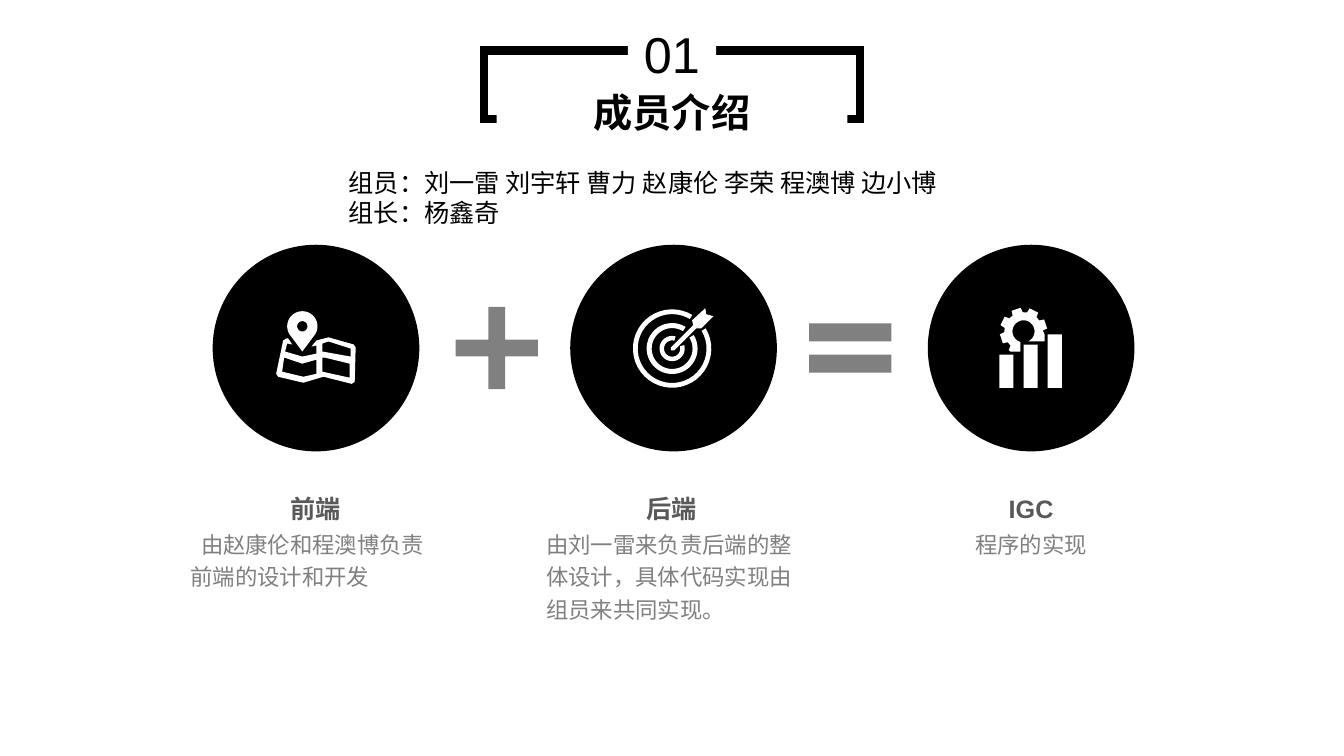
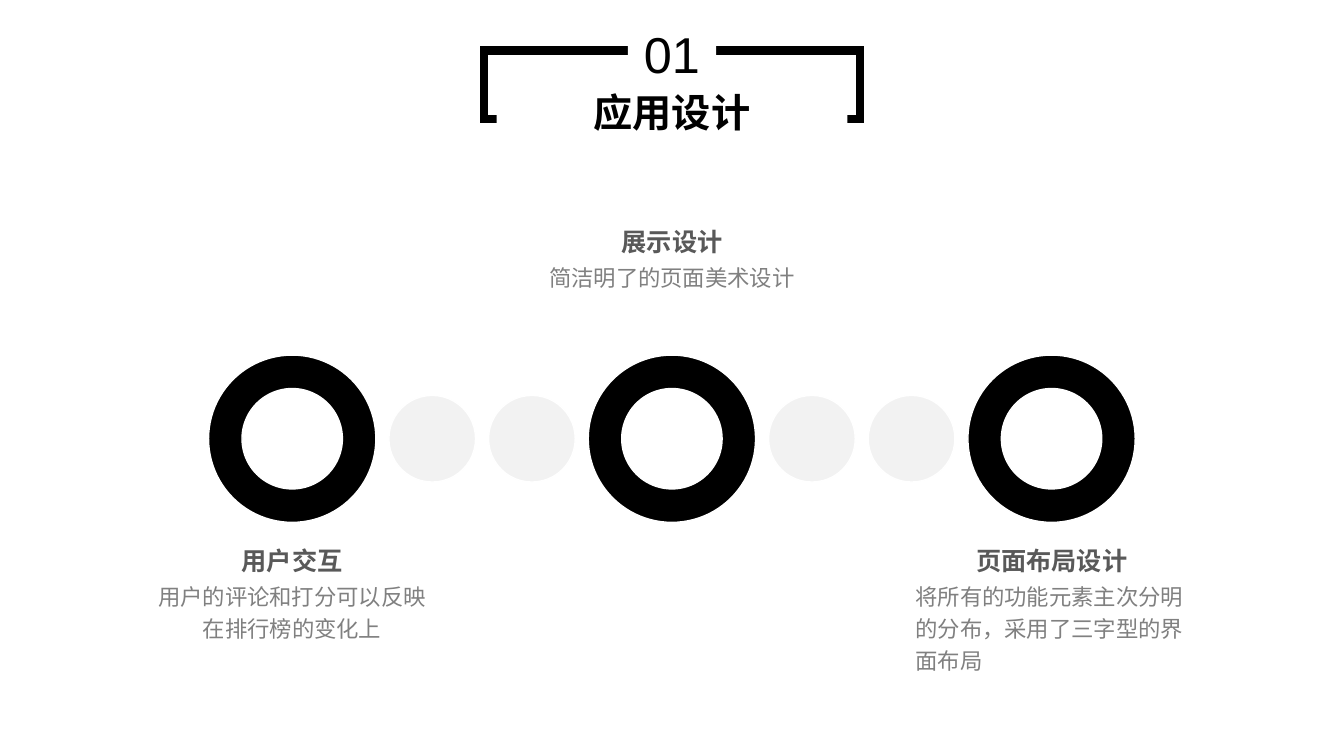
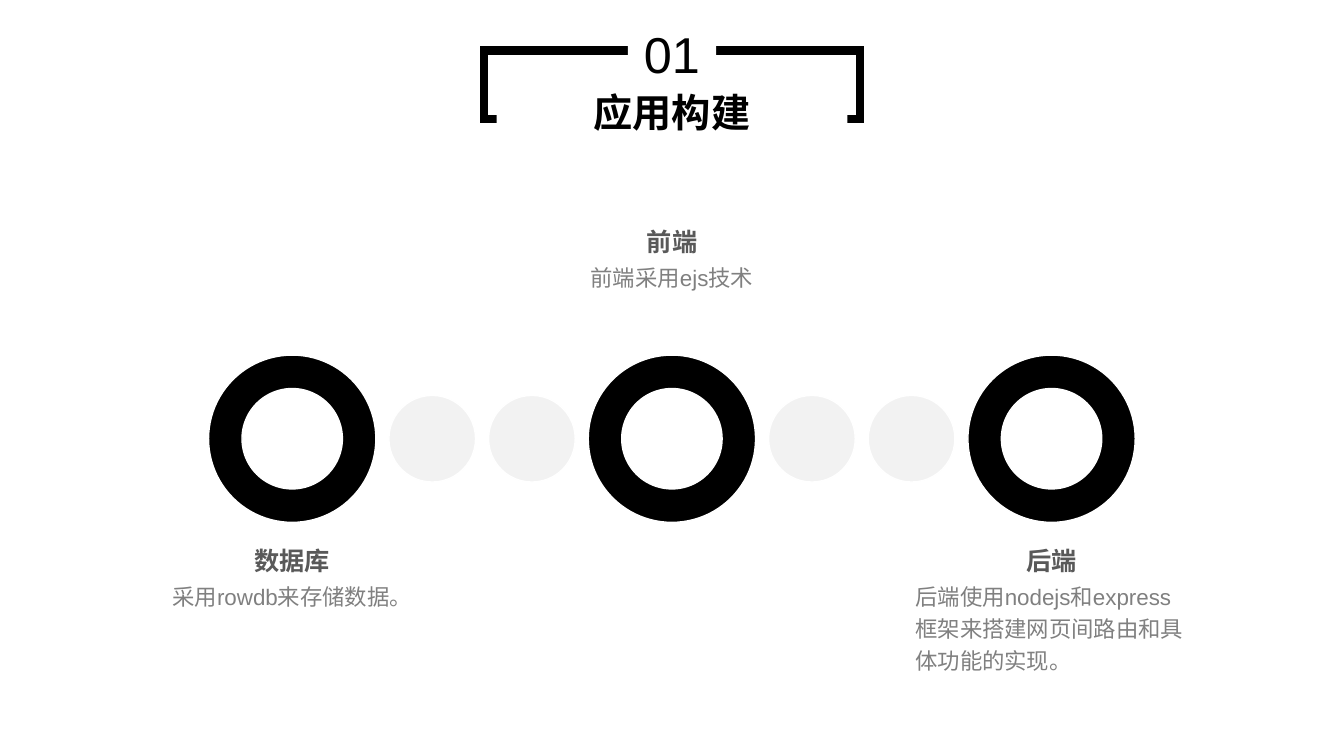
"""Build three slides on a team, its app design and its app build."""
import math
from dataclasses import dataclass

from pptx import Presentation
from pptx.dml.color import RGBColor
from pptx.enum.shapes import MSO_SHAPE
from pptx.enum.text import MSO_AUTO_SIZE, PP_ALIGN
from pptx.oxml.xmlchemy import OxmlElement
from pptx.shapes.base import BaseShape
from pptx.slide import Slide
from pptx.util import Pt

RECT = MSO_SHAPE.RECTANGLE
DISC = MSO_SHAPE.OVAL
RING = MSO_SHAPE.DONUT
PLUS = MSO_SHAPE.MATH_PLUS
EQUAL = MSO_SHAPE.MATH_EQUAL
LEFT = PP_ALIGN.LEFT
MID = PP_ALIGN.CENTER
FIT = MSO_AUTO_SIZE.SHAPE_TO_FIT_TEXT

Point = tuple[float, float]
Line = list[Point]


@dataclass(frozen=True)
class Theme:
    font: str = "Arial"
    black: str = "000000"
    white: str = "FFFFFF"
    dark: str = "595959"
    gray: str = "808080"
    pale: str = "F2F2F2"
    number: float = 36
    title: float = 28
    head: float = 18
    body: float = 16


@dataclass(frozen=True)
class Box:
    x: float
    y: float
    w: float
    h: float


@dataclass(frozen=True)
class Style:
    size: float
    color: str
    bold: bool = False
    align: int = MID
    space: float | None = None
    indent: float = 0
    wrap: bool = True
    fill: str | None = None


@dataclass(frozen=True)
class Label:
    mid: float
    top: float
    head: str
    body: str
    lines: int = 1
    align: int = MID
    indent: float = 0


THEME = Theme()


def tint(text: str) -> RGBColor:
    return RGBColor.from_string(text)


def place(box: Box) -> tuple[int, int, int, int]:
    return Pt(box.x), Pt(box.y), Pt(box.w), Pt(box.h)


def paint(shape: BaseShape, fill: str | None, line: str | None = None, width: float = 1) -> None:
    shape.shadow.inherit = False
    if fill:
        shape.fill.solid()
        shape.fill.fore_color.rgb = tint(fill)
    else:
        shape.fill.background()
    if line:
        shape.line.color.rgb = tint(line)
        shape.line.width = Pt(width)
    else:
        shape.line.fill.background()


def draw(slide: Slide, kind: int, box: Box, fill: str | None, line: str | None = None,
         width: float = 1, bends: tuple[float, ...] = ()) -> BaseShape:
    shape = slide.shapes.add_shape(kind, *place(box))
    paint(shape, fill, line, width)
    for index, bend in enumerate(bends):
        shape.adjustments[index] = bend
    return shape


def write(slide: Slide, box: Box, lines: list[str], style: Style) -> None:
    shape = slide.shapes.add_textbox(*place(box))
    if style.fill:
        paint(shape, style.fill)
    frame = shape.text_frame
    frame.word_wrap = style.wrap
    frame.auto_size = FIT
    for index, text in enumerate(lines):
        para = frame.add_paragraph() if index else frame.paragraphs[0]
        para.alignment = style.align
        if style.space:
            para.line_spacing = style.space
        if style.indent:
            para._p.get_or_add_pPr().set("indent", str(Pt(style.indent)))
        run = para.add_run()
        run.text = text
        run.font.name = THEME.font
        run.font.size = Pt(style.size)
        run.font.bold = style.bold
        run.font.color.rgb = tint(style.color)


def header(slide: Slide, title: str) -> None:
    frame = draw(slide, RECT, Box(345.6, 36, 268.8, 49), None, THEME.black, 6)
    miter = OxmlElement("a:miter")
    miter.set("lim", "800000")
    frame.line._get_or_add_ln().append(miter)
    write(slide, Box(448.5, 13, 63, 51), ["01"],
          Style(THEME.number, THEME.black, fill=THEME.white))
    write(slide, Box(354.7, 59.8, 250.6, 41), [title],
          Style(THEME.title, THEME.black, bold=True, fill=THEME.white))


def label(slide: Slide, item: Label, width: float) -> None:
    body = Box(item.mid - width / 2, item.top + 27.5, width, 5.8 + 23 * item.lines)
    write(slide, body, [item.body],
          Style(THEME.body, THEME.gray, align=item.align, space=1.2, indent=item.indent))
    write(slide, Box(item.mid - 88.2, item.top, 176.4, 31), [item.head],
          Style(THEME.head, THEME.dark, bold=True, space=1.2))


def polar(hub: Point, size: float, angle: float) -> Point:
    turn = math.radians(angle)
    return hub[0] + size * math.cos(turn), hub[1] + size * math.sin(turn)


def arc(hub: Point, size: float, start: float, end: float) -> Line:
    steps = 40
    return [polar(hub, size, start + (end - start) * i / steps) for i in range(steps + 1)]


def band(hub: Point, outer: float, inner: float, start: float, end: float) -> Line:
    return arc(hub, outer, start, end) + arc(hub, inner, end, start)


def map_icon() -> list[Line]:
    sheet = [(-21.2, -6.8), (-19.8, -6.8), (-16.9, -2.5), (-20.5, -3.2), (-22, 2.5),
             (-9.7, 6.1), (0.4, 4), (0.4, -1.8), (-3.2, -1.1), (0.4, -5.4), (9, -7.6),
             (27, -2.5), (28.4, -0.4), (27.7, 24.1), (25.6, 25.6), (5.4, 20.5),
             (-9, 24.8), (-27, 20.5), (-28.4, 18.4), (-23.4, -5.4)]
    west = [(-22.7, 6.8), (-24.1, 16.9), (-9, 20.5), (0.4, 18.4), (0.4, 8.3), (-9.7, 11.2)]
    east = [(4.7, 6.8), (4.7, 16.9), (24.1, 21.2), (24.1, 11.2), (6.1, 6.8)]
    north = [(9, -4.7), (4.7, -3.2), (4.7, 2.5), (24.8, 6.1), (24.8, 0.4)]
    hub = (-9.7, -15.5)
    pin = arc(hub, 10.8, 150, 390) + [(-9.7, 2.5)]
    return [sheet, west, east, north, pin, arc(hub, 3.7, 0, 360)]


def target_icon() -> list[Line]:
    hub = (-1, 0.4)
    rings = [(28, 24.6, 14), (18.2, 14.6, 13), (9, 5.8, 29)]
    bands = [band(hub, outer, inner, gap - 45, 315 - gap) for outer, inner, gap in rings]
    arrow = [(22.7, -28.4), (23.4, -24.1), (28.4, -22.7), (19.8, -14), (16.2, -14),
             (0.4, 1.8), (-1.8, 1.8), (-1.8, -0.4), (14, -16.2), (13.3, -19.8)]
    return bands + [arrow]


def gear_icon() -> list[Line]:
    bars = [[(x, top), (x + 10.1, top), (x + 10.1, 28.4), (x, 28.4)]
            for x, top in ((-22.7, 4.7), (-5.4, -2.5), (11.9, -9.7))]
    hub = (-5.4, -11.9)
    tooth = ((-16, 13.7), (-11.5, 17), (11.5, 17), (16, 13.7))
    teeth = [polar(hub, size, 116.5 + 45 * i + turn) for i in range(6) for turn, size in tooth]
    gear = (teeth[2:] + [(9.7, -9.7), (9.7, -4.7), (-1.8, -4.7)]
            + arc(hub, 7.9, 62, -253) + [(-7.6, -4.7), (-7.6, 2.5), (-14.8, 2.5)])
    return bars + [gear]


def icon(slide: Slide, mid: Point, lines: list[Line]) -> None:
    grid = [[(round(x * 100), round(y * 100)) for x, y in line] for line in lines]
    pen = slide.shapes.build_freeform(*grid[0][0], scale=Pt(0.01))
    pen.add_line_segments(grid[0][1:])
    for line in grid[1:]:
        pen.move_to(*line[0])
        pen.add_line_segments(line[1:])
    paint(pen.convert_to_shape(Pt(mid[0]), Pt(mid[1])), THEME.white)


def team(slide: Slide) -> None:
    header(slide, "成员介绍")
    size, y = 147.6, 248.6
    for index, lines in enumerate((map_icon(), target_icon(), gear_icon())):
        x = 225.7 + 255.4 * index
        draw(slide, DISC, Box(x - size / 2, y - size / 2, size, size), THEME.black)
        icon(slide, (x, y), lines)
    for kind, x, bends in ((PLUS, 314.9, (0.15,)), (EQUAL, 567.4, (0.16, 0.12))):
        draw(slide, kind, Box(x, y - 40, 80, 80), THEME.gray, bends=bends)
    top = 344.6
    for item in (
        Label(225.5, top, "前端", "由赵康伦和程澳博负责前端的设计和开发", 2, LEFT, 7.5),
        Label(479.6, top, "后端", "由刘一雷来负责后端的整体设计，具体代码实现由组员来共同实现。", 3, LEFT),
        Label(736.5, top, "IGC", "程序的实现"),
    ):
        label(slide, item, 193)
    write(slide, Box(242, 116, 450, 51),
          ["组员：刘一雷 刘宇轩 曹力 赵康伦 李荣 程澳博 边小博", "组长：杨鑫奇"],
          Style(THEME.head, THEME.black, align=LEFT, wrap=False))


def chain(slide: Slide, title: str, items: tuple[Label, ...]) -> None:
    header(slide, title)
    big, small, gap = 119.5, 61.9, 9.3
    x, y = 149, 313.4
    for index in range(7):
        main = index % 3 == 0
        size = big if main else small
        draw(slide, RING if main else DISC, Box(x, y - size / 2, size, size),
             THEME.black if main else THEME.pale, THEME.white, bends=(0.2,) if main else ())
        x += size + gap
    for item in items:
        label(slide, item, 208.8)


def main() -> None:
    deck = Presentation()
    deck.slide_width, deck.slide_height = Pt(960), Pt(540)
    first, second, third = (deck.slides.add_slide(deck.slide_layouts[6]) for _ in range(3))
    west, center, east = 208.7, 480, 751.2
    high, low = 153.8, 381.4
    team(first)
    chain(second, "应用设计", (
        Label(west, low, "用户交互", "用户的评论和打分可以反映在排行榜的变化上", 2),
        Label(east, low, "页面布局设计", "将所有的功能元素主次分明的分布，采用了三字型的界面布局", 3, LEFT),
        Label(center, high, "展示设计", "简洁明了的页面美术设计"),
    ))
    chain(third, "应用构建", (
        Label(west, low, "数据库", "采用rowdb来存储数据。"),
        Label(east, low, "后端", "后端使用nodejs和express框架来搭建网页间路由和具体功能的实现。", 3, LEFT),
        Label(center, high, "前端", "前端采用ejs技术"),
    ))
    deck.save("out.pptx")


if __name__ == "__main__":
    main()
